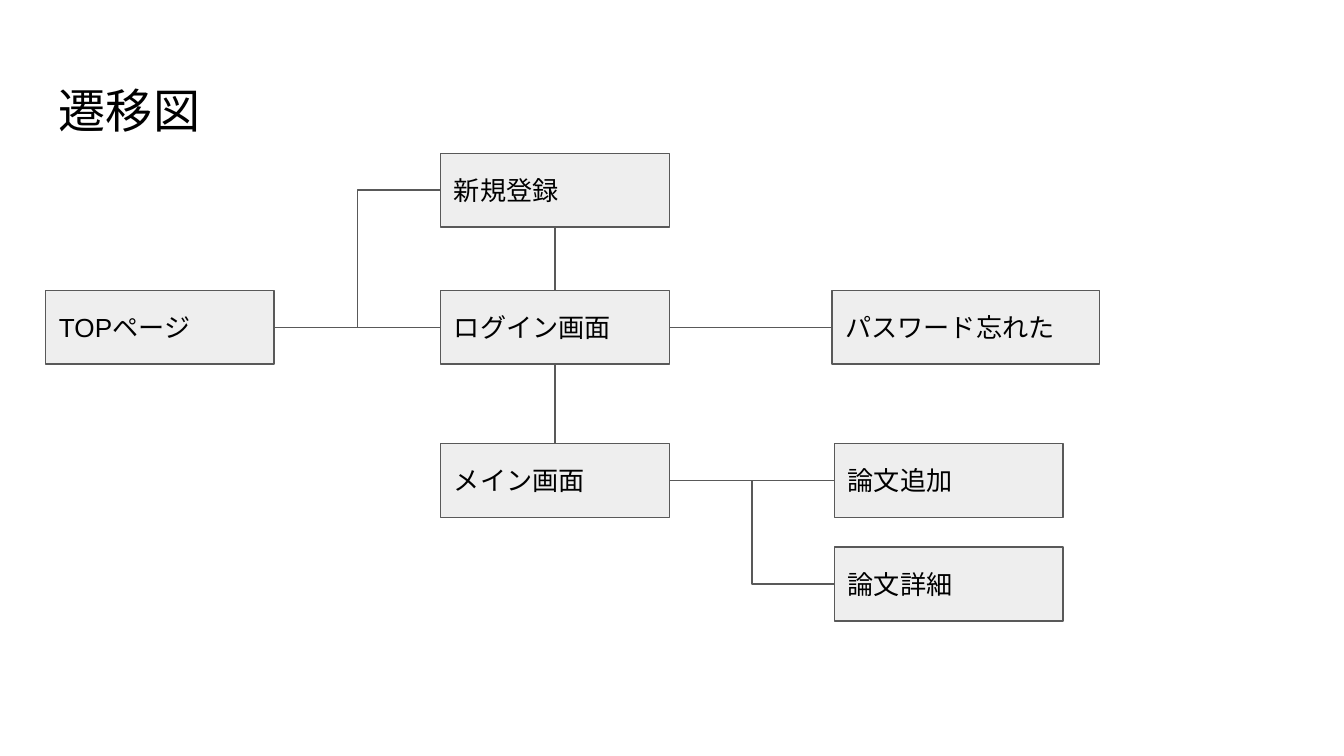
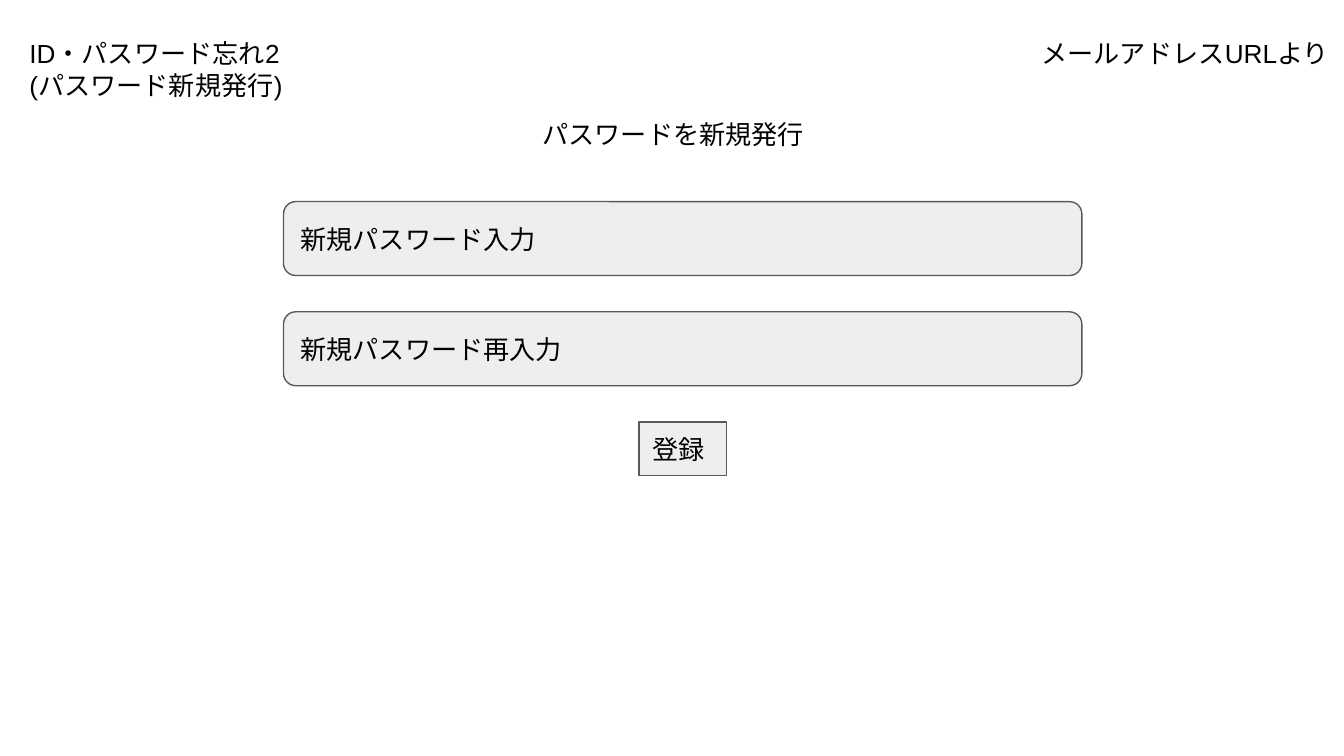
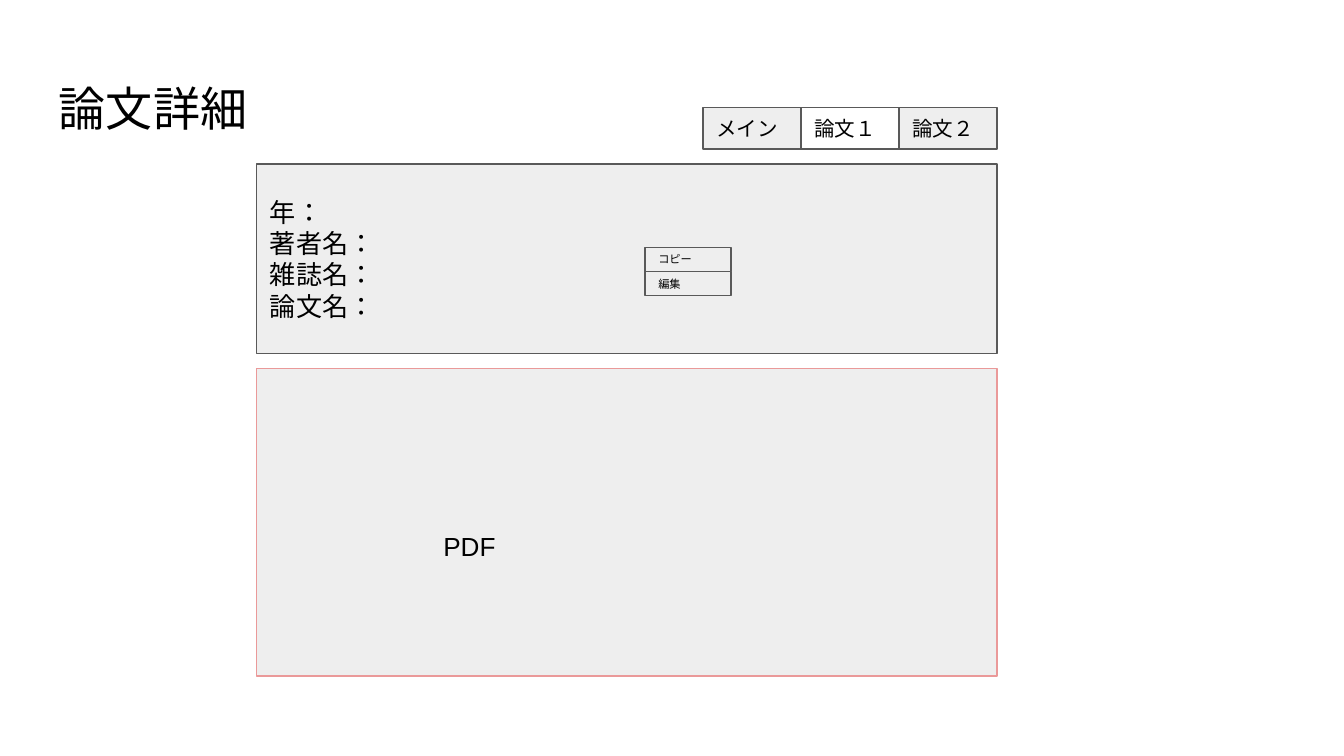
from lxml.etree import SubElement
from pptx import Presentation
from pptx.dml.color import RGBColor
from pptx.enum.lang import MSO_LANGUAGE_ID
from pptx.enum.shapes import MSO_CONNECTOR, MSO_SHAPE
from pptx.enum.text import MSO_ANCHOR, PP_ALIGN
from pptx.oxml.ns import qn
from pptx.util import Inches, Pt

FONT = "Arial"
BLACK = "000000"
WHITE = "FFFFFF"
PANEL = "EEEEEE"
OUTLINE = "595959"
PDF_OUTLINE = "EA9999"
LINE_WIDTH = 0.75
INSET = 0.1
BOX_HEIGHT = 0.55
TOP, LEFT, BOTTOM, RIGHT = range(4)


def color(value):
    return RGBColor.from_string(value)


def write_text(shape, text, size=14, align=PP_ALIGN.LEFT, anchor=MSO_ANCHOR.TOP):
    frame = shape.text_frame
    frame.word_wrap = True
    frame.vertical_anchor = anchor
    frame.margin_left = frame.margin_right = Inches(INSET)
    frame.margin_top = frame.margin_bottom = Inches(INSET)
    for index, line in enumerate(text.split("\n")):
        paragraph = frame.add_paragraph() if index else frame.paragraphs[0]
        paragraph.alignment = align
        run = paragraph.add_run()
        run.text = line
        run.font.size = Pt(size)
        run.font.name = FONT
        run.font.language_id = MSO_LANGUAGE_ID.JAPANESE
        run.font.color.rgb = color(BLACK)
        SubElement(run.font._element, qn("a:ea"), typeface=FONT)


def add_label(slide, text, left, top, width, height=0.44, **text_format):
    label = slide.shapes.add_textbox(
        Inches(left), Inches(top), Inches(width), Inches(height)
    )
    write_text(label, text, **text_format)


def add_title(slide, text, top):
    add_label(slide, text, 0.34, top, 9.32, 0.63, size=25.2)


def add_box(slide, left, top, width, height=BOX_HEIGHT, text="", size=14,
            fill=PANEL, outline=OUTLINE, kind=MSO_SHAPE.RECTANGLE):
    box = slide.shapes.add_shape(
        kind, Inches(left), Inches(top), Inches(width), Inches(height)
    )
    box.shadow.inherit = False
    box.fill.solid()
    box.fill.fore_color.rgb = color(fill)
    box.line.color.rgb = color(outline)
    box.line.width = Pt(LINE_WIDTH)
    if text:
        write_text(box, text, size=size, anchor=MSO_ANCHOR.MIDDLE)
    return box


def connect(slide, start, start_site, end, end_site, kind=MSO_CONNECTOR.STRAIGHT):
    connector = slide.shapes.add_connector(kind, 0, 0, 0, 0)
    connector.begin_connect(start, start_site)
    connector.end_connect(end, end_site)
    connector.line.color.rgb = color(OUTLINE)
    connector.line.width = Pt(LINE_WIDTH)
    SubElement(connector._element.spPr, qn("a:effectLst"))


def add_transition_diagram(slide, left, top):
    width = 1.7
    middle, right = left + 2.94, left + 5.87
    login_row, main_row = top + 1.02, top + 2.16

    login = add_box(slide, middle, login_row, width, text="ログイン画面")
    sign_up = add_box(slide, middle, top, width, text="新規登録")
    main_screen = add_box(slide, middle, main_row, width, text="メイン画面")
    forgotten = add_box(slide, right - 0.02, login_row, 1.99, text="パスワード忘れた")
    top_page = add_box(slide, left, login_row, width, text="TOPページ")
    add_paper = add_box(slide, right, main_row, width, text="論文追加")
    paper_details = add_box(slide, right, main_row + 0.77, width, text="論文詳細")

    connect(slide, login, RIGHT, forgotten, LEFT)
    connect(slide, sign_up, BOTTOM, login, TOP)
    connect(slide, login, BOTTOM, main_screen, TOP)
    connect(slide, top_page, RIGHT, login, LEFT)
    connect(slide, top_page, RIGHT, sign_up, LEFT, MSO_CONNECTOR.ELBOW)
    connect(slide, main_screen, RIGHT, add_paper, LEFT)
    connect(slide, main_screen, RIGHT, paper_details, LEFT, MSO_CONNECTOR.ELBOW)


def add_password_form(slide, left, top, width):
    step = 0.82
    for row, prompt in enumerate(["新規パスワード入力", "新規パスワード再入力"]):
        add_box(slide, left, top + row * step, width, text=prompt,
                kind=MSO_SHAPE.ROUNDED_RECTANGLE)
    button_width = 0.65
    add_box(slide, left + (width - button_width) / 2, top + 2 * step,
            button_width, 0.4, text="登録")


def add_tabs(slide, right, top, names, active):
    width = 0.73
    left = right - width * len(names)
    for index, name in enumerate(names):
        add_box(slide, left + index * width, top, width, 0.31, text=name, size=11,
                fill=WHITE if name == active else PANEL)


def add_context_menu(slide, left, top, commands):
    height = 0.18
    for row, command in enumerate(commands):
        add_box(slide, left, top + row * height, 0.64, height, text=command, size=6)


def add_paper_view(slide, left, top, width):
    add_tabs(slide, left + width, top, ["メイン", "論文１", "論文２"], "論文１")
    add_box(slide, left, top + 1.94, width, 2.29, outline=PDF_OUTLINE)
    add_label(slide, "PDF", left + 1.29, top + 3.05, 5.2)
    add_box(slide, left, top + 0.42, width, 1.41,
            text="年：\n著者名：\n雑誌名：\n論文名：")
    add_context_menu(slide, left + 2.89, top + 1.04, ["コピー", "編集"])


def build_transition_slide(slide):
    add_title(slide, "遷移図", 0.51)
    add_transition_diagram(slide, 0.34, 1.14)


def build_password_slide(slide):
    add_label(slide, "ID・パスワード忘れ2\n(パスワード新規発行)", 0.12, 0.18, 2.17, 0.67)
    add_label(slide, "パスワードを新規発行", 2.24, 0.78, 5.54, align=PP_ALIGN.CENTER)
    add_password_form(slide, 2.11, 1.5, 5.94)
    add_label(slide, "メールアドレスURLより", 7.65, 0.18, 8.04)


def build_paper_slide(slide):
    add_title(slide, "論文詳細", 0.49)
    add_paper_view(slide, 1.91, 0.8, 5.51)


def main():
    presentation = Presentation()
    presentation.slide_width = Inches(10)
    presentation.slide_height = presentation.slide_width * 9 // 16
    blank_layout = presentation.slide_layouts[6]
    for build in (build_transition_slide, build_password_slide, build_paper_slide):
        build(presentation.slides.add_slide(blank_layout))
    presentation.save("out.pptx")


if __name__ == "__main__":
    main()
